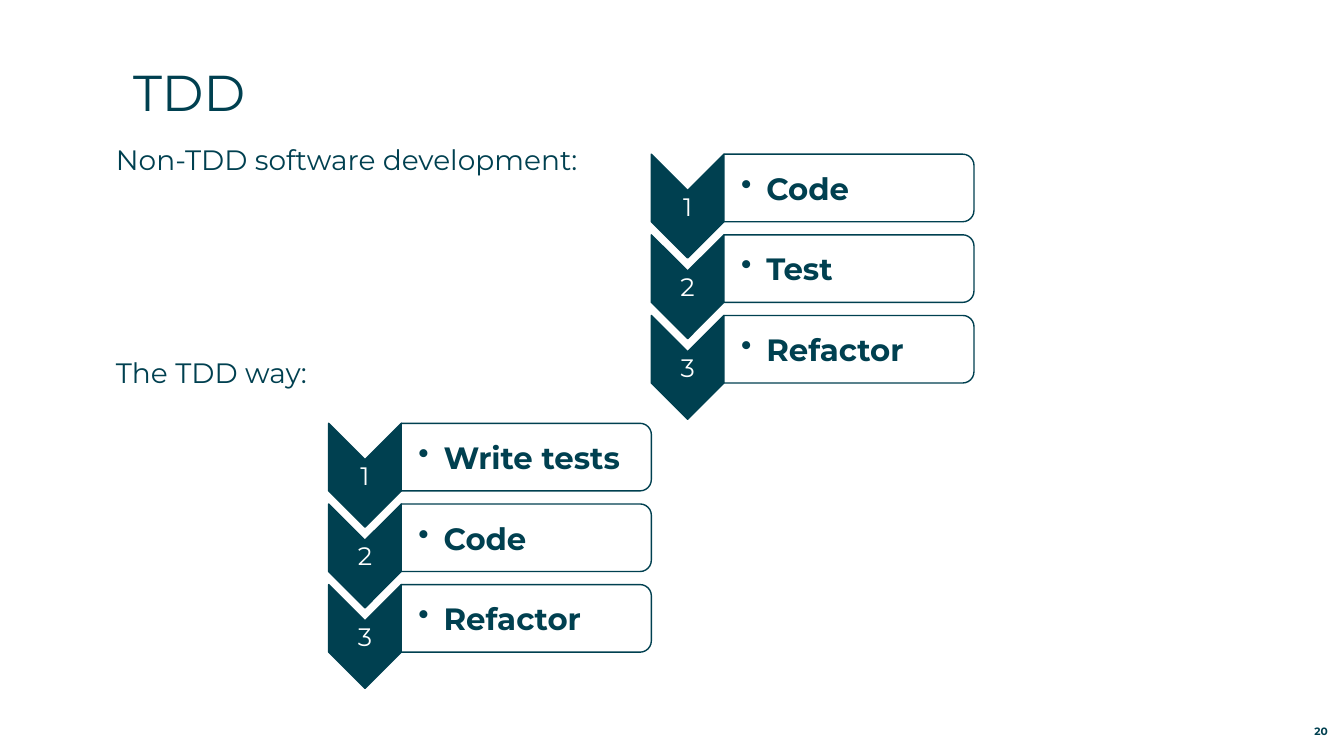
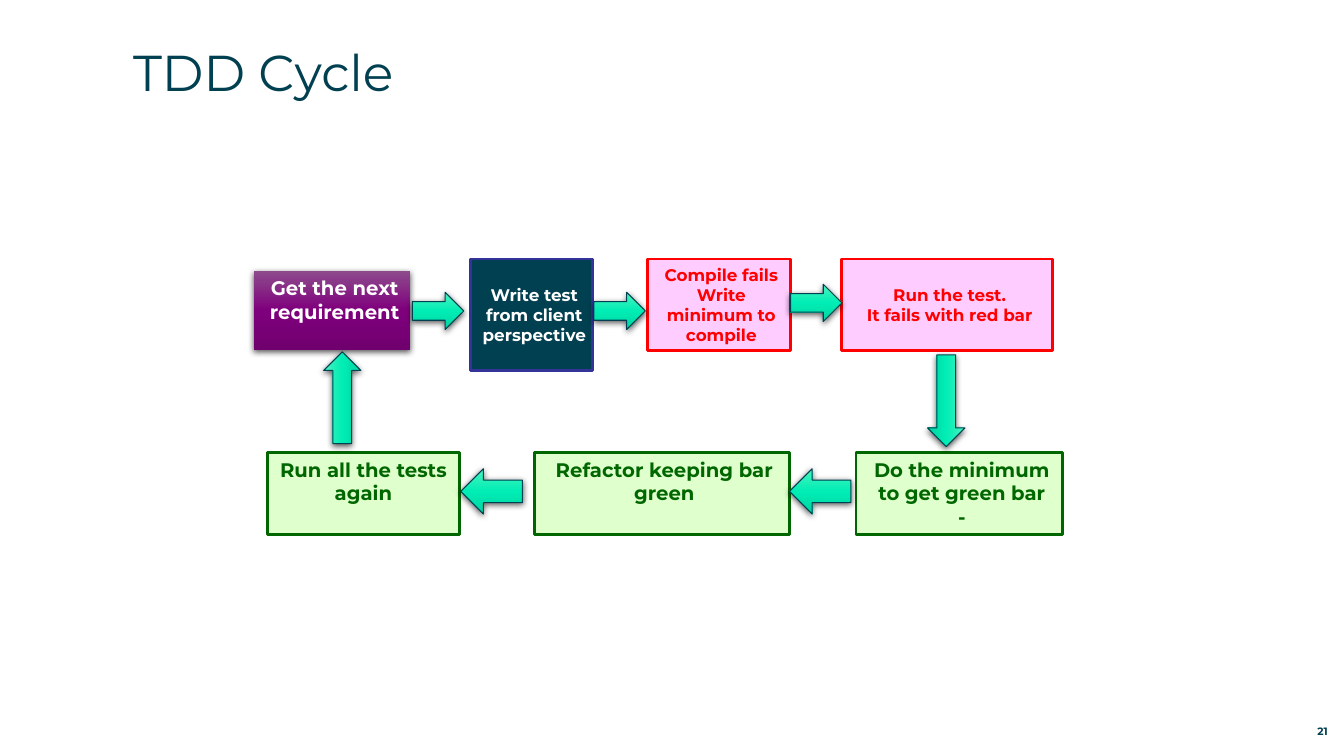
from lxml.etree import SubElement
from pptx import Presentation
from pptx.dml.color import RGBColor
from pptx.enum.shapes import MSO_SHAPE
from pptx.enum.text import MSO_ANCHOR, PP_ALIGN
from pptx.oxml import parse_xml
from pptx.oxml.ns import nsdecls, qn
from pptx.util import Inches, Pt

FONT = "Montserrat"
TEAL = RGBColor(0x00, 0x40, 0x50)
WHITE = RGBColor(0xFF, 0xFF, 0xFF)
INDIGO = RGBColor(0x33, 0x33, 0x99)
RED = RGBColor(0xFF, 0x00, 0x00)
PINK = RGBColor(0xFF, 0xCC, 0xFF)
GREEN = RGBColor(0x00, 0x66, 0x00)
LIME = RGBColor(0xDF, 0xFF, 0xCD)
PURPLE_BLEND = [RGBColor(0x8D, 0x4B, 0x8C), RGBColor(0x7F, 0x00, 0x7D), RGBColor(0x71, 0x00, 0x6F)]
MINT_BLEND = [RGBColor(0x4B, 0xF3, 0xBE), RGBColor(0x00, 0xED, 0xB5), RGBColor(0x00, 0xD3, 0xA1)]

STEP_PITCH = 0.8
CHEVRON_WIDTH, CHEVRON_HEIGHT = 0.72, 1.03
CARD_WIDTH, CARD_HEIGHT = 2.48, 0.67


def write(shape, lines, size, color, bold=False, align=PP_ALIGN.LEFT,
          anchor=MSO_ANCHOR.TOP, insets=(0, 0, 0, 0), wrap=True, bullet=False):
    frame = shape.text_frame
    frame.word_wrap = wrap
    frame.vertical_anchor = anchor
    frame.margin_left, frame.margin_top, frame.margin_right, frame.margin_bottom = map(Inches, insets)
    for index, line in enumerate(lines):
        para = frame.add_paragraph() if index else frame.paragraphs[0]
        para.alignment = align
        if bullet:
            properties = para._p.get_or_add_pPr()
            properties.set("marL", str(Inches(0.25)))
            properties.set("indent", str(-Inches(0.25)))
            SubElement(properties, qn("a:buChar")).set("char", "•")
        span = para.add_run()
        span.text = line
        span.font.name = FONT
        span.font.size = Pt(size)
        span.font.bold = bold
        span.font.color.rgb = color


def add_text(page, box, lines, size, color, **style):
    shape = page.shapes.add_textbox(*map(Inches, box))
    write(shape, lines, size, color, **style)


def add_block(page, kind, box, fill, line=None, weight=1, rotation=0):
    shape = page.shapes.add_shape(kind, *map(Inches, box))
    shape.shadow.inherit = False
    shape.rotation = rotation
    if isinstance(fill, list):
        blend(shape, fill)
    else:
        shape.fill.solid()
        shape.fill.fore_color.rgb = fill
    if line is None:
        shape.line.fill.background()
    else:
        shape.line.color.rgb = line
        shape.line.width = Pt(weight)
    return shape


def blend(shape, colors):
    stops = "".join(
        f'<a:gs pos="{index * 50000}"><a:srgbClr val="{color}"/></a:gs>'
        for index, color in enumerate(colors))
    properties = shape._element.spPr
    properties.find(qn("a:prstGeom")).addnext(parse_xml(
        f'<a:gradFill {nsdecls("a")} rotWithShape="1"><a:gsLst>{stops}</a:gsLst>'
        '<a:lin ang="5400000" scaled="0"/></a:gradFill>'))
    properties.find(qn("a:effectLst")).append(parse_xml(
        f'<a:outerShdw {nsdecls("a")} blurRad="{Pt(4.5)}" dist="{Pt(1.5)}" dir="5400000" '
        'rotWithShape="0"><a:srgbClr val="000000"><a:alpha val="63000"/></a:srgbClr></a:outerShdw>'))


def add_turned(page, kind, left, top, width, height, fill):
    shift = (width - height) / 2
    add_block(page, kind, (left + shift, top - shift, height, width), fill, TEAL, rotation=90)


def add_page(deck, title, title_top, number):
    page = deck.slides.add_slide(deck.slide_layouts[6])
    add_text(page, (1.32, title_top, 11.65, 0.88), [title], 36, TEAL)
    add_text(page, (12.31, 7.12, 0.86, 0.2), [number], 7.6, TEAL, bold=True,
             align=PP_ALIGN.RIGHT, anchor=MSO_ANCHOR.BOTTOM)
    return page


def add_step_list(page, left, top, labels):
    card_left = left + CHEVRON_WIDTH
    for index, label in enumerate(labels):
        step_top = top + index * STEP_PITCH
        add_turned(page, MSO_SHAPE.CHEVRON, left, step_top, CHEVRON_WIDTH, CHEVRON_HEIGHT, TEAL)
        add_text(page, (left, step_top + 0.36, CHEVRON_WIDTH, 0.31), [str(index + 1)], 18, WHITE,
                 align=PP_ALIGN.CENTER, anchor=MSO_ANCHOR.MIDDLE)
        add_turned(page, MSO_SHAPE.ROUND_2_SAME_RECTANGLE, card_left, step_top,
                   CARD_WIDTH, CARD_HEIGHT, WHITE)
        add_text(page, (card_left, step_top + 0.03, CARD_WIDTH, 0.61), [label], 22, TEAL, bold=True,
                 anchor=MSO_ANCHOR.MIDDLE, insets=(0.17, 0.02, 0.02, 0.02), bullet=True)


def add_stage(page, box, lines, size, color, fill, line, inset=0.1, anchor=MSO_ANCHOR.TOP):
    stage = add_block(page, MSO_SHAPE.RECTANGLE, box, fill, line, 2)
    write(stage, lines, size, color, bold=True, align=PP_ALIGN.CENTER, anchor=anchor,
          insets=(inset, 0.05, 0.05, 0.05))


def add_arrow(page, kind, box, rotation=0):
    add_block(page, kind, box, MINT_BLEND, TEAL, 0.75, rotation)


def build_comparison(deck):
    page = add_page(deck, "TDD", 0.61, "20")
    for top, heading in ((1.41, "Non-TDD software development:"), (3.53, "The TDD way:")):
        add_text(page, (1.15, top, 5, 0.36), [heading], 20, TEAL, wrap=False)
    add_step_list(page, 6.46, 1.53, ["Code", "Test", "Refactor"])
    add_step_list(page, 3.26, 4.2, ["Write tests", "Code", "Refactor"])


def build_cycle(deck):
    page = add_page(deck, "TDD Cycle", 0.41, "21")
    add_stage(page, (2.52, 2.69, 1.55, 0.78), ["Get the next requirement"], 14, WHITE, PURPLE_BLEND, None)

    upper_stages = [
        (4.67, 1.21, 1.11, ["Write test from client perspective"], WHITE, TEAL, INDIGO),
        (6.42, 1.42, 0.91, ["Compile fails", "Write minimum to compile"], RED, PINK, RED),
        (8.35, 2.09, 0.91, ["Run the test.", "It fails with red bar"], RED, PINK, RED),
    ]
    for left, width, height, lines, color, fill, line in upper_stages:
        add_stage(page, (left, 2.57, width, height), lines, 12, color, fill, line,
                  anchor=MSO_ANCHOR.MIDDLE)

    lower_stages = [
        (8.49, 2.05, ["Do the minimum to get green bar", "-"], 0.1),
        (5.3, 2.53, ["Refactor keeping bar green"], 0.1),
        (2.65, 1.91, ["Run all the tests again"], 0.05),
    ]
    for left, width, lines, inset in lower_stages:
        add_stage(page, (left, 4.49, width, 0.81), lines, 14, GREEN, LIME, GREEN, inset)

    for left, top in ((4.09, 2.9), (5.89, 2.9), (7.84, 2.82)):
        add_arrow(page, MSO_SHAPE.RIGHT_ARROW, (left, top, 0.51, 0.37))
    for left in (7.83, 4.57):
        add_arrow(page, MSO_SHAPE.LEFT_ARROW, (left, 4.65, 0.61, 0.45))
    for left, top, rotation in ((8.93, 3.79, 90), (2.94, 3.76, 270)):
        add_arrow(page, MSO_SHAPE.RIGHT_ARROW, (left, top, 0.91, 0.37), rotation)


def main():
    deck = Presentation()
    deck.slide_width, deck.slide_height = Inches(13.33), Inches(7.5)
    build_comparison(deck)
    build_cycle(deck)
    deck.save("out.pptx")


if __name__ == "__main__":
    main()
